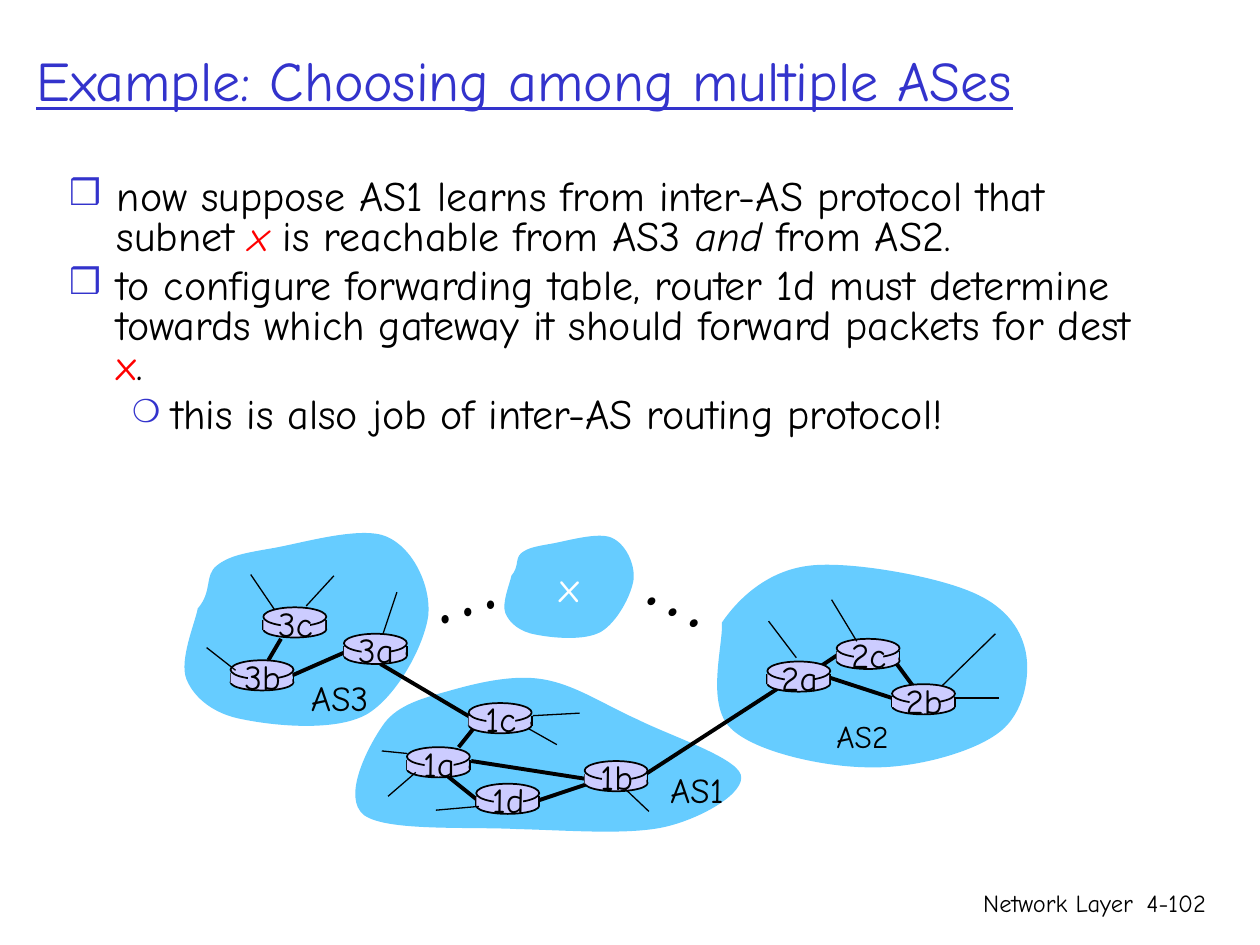
import pptx
import pptx.dml.color
import pptx.enum.shapes
import pptx.enum.text
import pptx.oxml.ns
import pptx.util
from lxml import etree

Inches = pptx.util.Inches
qn = pptx.oxml.ns.qn
SHAPES = pptx.enum.shapes.MSO_SHAPE
ALIGN = pptx.enum.text.PP_ALIGN
FONT = "Comic Neue"
BLACK, WHITE, RED = "000000", "FFFFFF", "FF0000"
BLUE, CLOUD, ROUTER = "3333CC", "66CCFF", "CCCCFF"

# Closed outlines in inches: a start point, then three points for each Bezier curve.
AS3_OUTLINE = [
    (0.15, 0.66), (0.27, 0.52), (0.20, 0.40), (0.30, 0.32), (0.40, 0.24), (0.52, 0.22), (0.75, 0.18),
    (0.98, 0.14), (1.45, 0), (1.65, 0.09), (1.86, 0.18), (2.0, 0.48), (1.98, 0.71),
    (1.95, 0.95), (1.73, 1.36), (1.49, 1.5), (1.24, 1.64), (0.75, 1.59), (0.51, 1.54),
    (0.28, 1.5), (0.12, 1.37), (0.06, 1.22), (0, 1.07), (0.13, 0.77), (0.15, 0.66)]
AS1_OUTLINE = [
    (0.32, 0.42), (0.42, 0.26), (0.61, 0.20), (0.83, 0.14), (1.04, 0.08), (1.34, 0), (1.59, 0.04),
    (1.85, 0.08), (2.08, 0.24), (2.35, 0.36), (2.61, 0.49), (3.13, 0.66), (3.17, 0.80),
    (3.21, 0.94), (2.87, 1.14), (2.58, 1.21), (2.29, 1.28), (1.8, 1.24), (1.4, 1.23),
    (1.0, 1.21), (0.36, 1.25), (0.18, 1.12), (0, 0.98), (0.21, 0.58), (0.32, 0.42)]
AS2_OUTLINE = [
    (0.13, 0.49), (0.26, 0.30), (0.49, 0.08), (0.82, 0.04), (1.14, 0), (1.8, 0.12), (2.09, 0.24),
    (2.37, 0.35), (2.5, 0.53), (2.54, 0.72), (2.58, 0.91), (2.53, 1.22), (2.32, 1.37),
    (2.12, 1.52), (1.66, 1.65), (1.3, 1.64), (0.95, 1.64), (0.39, 1.52), (0.20, 1.33),
    (0, 1.14), (0.14, 0.67), (0.13, 0.49)]

# Places within the diagram, in inches.
CLOUDS = [(AS2_OUTLINE, 4.6, 0.45, 1), (AS3_OUTLINE, 0.42, 0.17, 1),
          (AS1_OUTLINE, 1.71, 1.35, 1), (AS3_OUTLINE, 2.98, 0.22, 0.53)]
ROUTERS = {"3a": (1.73, 1.03), "3b": (0.83, 1.24), "3c": (1.09, 0.82),
           "1a": (2.23, 1.93), "1b": (3.64, 2.04), "1c": (2.72, 1.58), "1d": (2.78, 2.22),
           "2a": (5.09, 1.25), "2b": (6.08, 1.43), "2c": (5.64, 1.07)}
LINKS = [(5.59, 1.38, 6.08, 1.54), (6.11, 1.26, 6.25, 1.45), (5.48, 1.31, 5.66, 1.19),
         (3.28, 2.35, 3.7, 2.21), (2.54, 2.15, 2.79, 2.35), (2.74, 2.04, 3.64, 2.18),
         (2.64, 1.93, 2.76, 1.78), (1.32, 1.36, 1.73, 1.18), (2.02, 1.27, 2.73, 1.69),
         (4.13, 2.14, 5.18, 1.46), (1.23, 1.07, 1.13, 1.24)]
STUBS = [(0.64, 1.14, 0.87, 1.32), (1.65, 0.57, 1.43, 0.81), (0.99, 0.56, 1.18, 0.84),
         (2.15, 0.7, 2.04, 1.03), (6.57, 1.54, 6.93, 1.54), (6.48, 1.44, 6.9, 1.03),
         (5.8, 1.09, 5.6, 0.76), (5.32, 1.22, 5.1, 0.93), (2.3, 2.13, 2.08, 2.32),
         (2.23, 1.98, 2.03, 1.96), (2.8, 2.4, 2.46, 2.43), (3.23, 1.68, 3.6, 1.66),
         (3.96, 2.26, 4.15, 2.44), (3.19, 1.78, 3.42, 1.91)]
# text, left, top, width, height, size, colour, rotation
LABELS = [("AS3", 1.37, 1.32, 0.77, 0.43, 20, BLACK, 0), ("AS1", 4.22, 2.05, 0.72, 0.43, 20, BLACK, 0),
          ("AS2", 5.54, 1.64, 0.71, 0.4, 18, BLACK, 0), ("x", 3.34, 0.4, 0.4, 0.5, 24, WHITE, 0),
          ("…", 2.29, 0.1, 0.71, 1, 54, BLACK, 342.3), ("…", 4.12, 0.13, 0.71, 1, 54, BLACK, 27.4)]


def rgb(colour):
    return pptx.dml.color.RGBColor.from_string(colour)


def format_run(run, size, colour, italic=False):
    run.font.name = FONT
    run.font.size = pptx.util.Pt(size)
    run.font.color.rgb = rgb(colour)
    run.font.italic = italic


def add_text(slide, text, left, top, width, height, size, colour=BLACK, align=ALIGN.LEFT, wrap=False):
    box = slide.shapes.add_textbox(Inches(left), Inches(top), Inches(width), Inches(height))
    box.text_frame.word_wrap = wrap
    box.text_frame.text = text
    paragraph = box.text_frame.paragraphs[0]
    paragraph.alignment = align
    format_run(paragraph.runs[0], size, colour)
    return box


def add_solid(slide, kind, left, top, width, height, outlined):
    shape = slide.shapes.add_shape(kind, Inches(left), Inches(top), Inches(width), Inches(height))
    shape.shadow.inherit = False
    shape.fill.solid()
    shape.fill.fore_color.rgb = rgb(ROUTER)
    if outlined:
        shape.line.color.rgb = rgb(BLACK)
        shape.line.width = pptx.util.Pt(1)
    else:
        shape.line.fill.background()


def add_line(slide, left, top, ends, width):
    """Draw a line whose ends (x1, y1, x2, y2) are relative to left, top."""
    x1, y1, x2, y2 = ends
    line = slide.shapes.add_connector(
        pptx.enum.shapes.MSO_CONNECTOR.STRAIGHT,
        Inches(left + x1), Inches(top + y1), Inches(left + x2), Inches(top + y2))
    line.line.color.rgb = rgb(BLACK)
    line.line.width = pptx.util.Pt(width)
    etree.SubElement(line._element.spPr, qn("a:effectLst"))


def curve_segments(shape):
    """Turn each three straight segments of a freeform into one Bezier curve."""
    segments = list(shape._element.iter(qn("a:lnTo")))
    for first in range(0, len(segments), 3):
        curve = etree.Element(qn("a:cubicBezTo"))
        segments[first].addprevious(curve)
        for segment in segments[first:first + 3]:
            curve.append(segment[0])
            segment.getparent().remove(segment)


def add_cloud(slide, outline, left, top, scale):
    points = [(Inches(left + x * scale), Inches(top + y * scale)) for x, y in outline]
    builder = slide.shapes.build_freeform(*points[0])
    builder.add_line_segments(points[1:], close=True)
    cloud = builder.convert_to_shape()
    curve_segments(cloud)
    cloud.shadow.inherit = False
    cloud.fill.solid()
    cloud.fill.fore_color.rgb = rgb(CLOUD)
    cloud.line.fill.background()


def add_router(slide, name, left, top):
    """Draw a flat cylinder with its name over the front rim."""
    add_solid(slide, SHAPES.OVAL, left, top + 0.11, 0.5, 0.13, True)
    for x in (0, 0.5):
        add_line(slide, left, top, (x, 0.1, x, 0.18), 1)
    add_solid(slide, SHAPES.RECTANGLE, left, top + 0.1, 0.49, 0.08, False)
    add_solid(slide, SHAPES.OVAL, left, top, 0.5, 0.15, True)
    add_solid(slide, SHAPES.RECTANGLE, left + 0.14, top + 0.02, 0.23, 0.19, False)
    add_text(slide, name, left, top - 0.09, 0.51, 0.43, 20, align=ALIGN.CENTER)


def add_network(slide, left, top):
    for outline, x, y, scale in CLOUDS:
        add_cloud(slide, outline, left + x, top + y, scale)
    for link in LINKS:
        add_line(slide, left, top, link, 2.25)
    for name, (x, y) in ROUTERS.items():
        add_router(slide, name, left + x, top + y)
    for stub in STUBS:
        add_line(slide, left, top, stub, 0.75)
    for text, x, y, width, height, size, colour, rotation in LABELS:
        label = add_text(slide, text, left + x, top + y, width, height, size, colour)
        label.rotation = rotation


def add_bullet(paragraph, character, percent, margin, indent):
    properties = paragraph._p.get_or_add_pPr()
    properties.set("marL", str(Inches(margin)))
    properties.set("indent", str(Inches(indent)))
    colour = etree.SubElement(properties, qn("a:buClr"))
    etree.SubElement(colour, qn("a:srgbClr"), val=BLUE)
    etree.SubElement(properties, qn("a:buSzPct"), val=str(percent * 1000))
    etree.SubElement(properties, qn("a:buFont"), typeface=FONT)
    etree.SubElement(properties, qn("a:buChar"), char=character)


def add_body(slide, left, top, width, height):
    square, circle = ("❒", 85, 0.38, -0.38), ("❍", 75, 0.81, -0.31)
    items = [
        (square, [("now suppose AS1 learns from inter-AS protocol that subnet ", BLACK, False),
                  ("x", RED, True), (" is reachable from AS3 ", BLACK, False),
                  ("and", BLACK, True), (" from AS2.", BLACK, False)]),
        (square, [("to configure forwarding table, router 1d must determine towards which "
                   "gateway it should forward packets for dest ", BLACK, False),
                  ("x", RED, False), (".", BLACK, False)]),
        (circle, [("this is also job of inter-AS routing protocol!", BLACK, False)])]
    box = slide.shapes.add_textbox(Inches(left), Inches(top), Inches(width), Inches(height))
    frame = box.text_frame
    frame.word_wrap = True
    for index, (bullet, runs) in enumerate(items):
        paragraph = frame.add_paragraph() if index else frame.paragraphs[0]
        add_bullet(paragraph, *bullet)
        paragraph.level = 1 if bullet is circle else 0
        paragraph.line_spacing = 0.8
        if index:
            paragraph.space_before = pptx.util.Pt(4.8)
        for text, colour, italic in runs:
            run = paragraph.add_run()
            run.text = text
            format_run(run, 24, colour, italic)


def add_title(slide, left, top, width, height):
    title = add_text(slide, "Example: Choosing among multiple ASes", left, top, width, height, 32, BLUE, wrap=True)
    title.text_frame.vertical_anchor = pptx.enum.text.MSO_ANCHOR.MIDDLE
    title.text_frame.paragraphs[0].runs[0].font.underline = True


def add_footer(slide, left, top, height):
    add_text(slide, "Network Layer", left, top, 3.17, height, 14, align=ALIGN.RIGHT, wrap=True)
    add_text(slide, "4-102", left + 3.01, top, 0.74, height, 14, align=ALIGN.RIGHT, wrap=True)


def main():
    presentation = pptx.Presentation()
    presentation.slide_width, presentation.slide_height = Inches(10), Inches(7.5)
    slide = presentation.slides.add_slide(presentation.slide_layouts[6])
    add_footer(slide, 5.92, 7, 0.5)
    add_title(slide, 0.19, 0, 9.59, 1.25)
    add_body(slide, 0.45, 1.37, 8.74, 3.01)
    add_network(slide, 1, 4)
    presentation.save("out.pptx")


if __name__ == "__main__":
    main()
